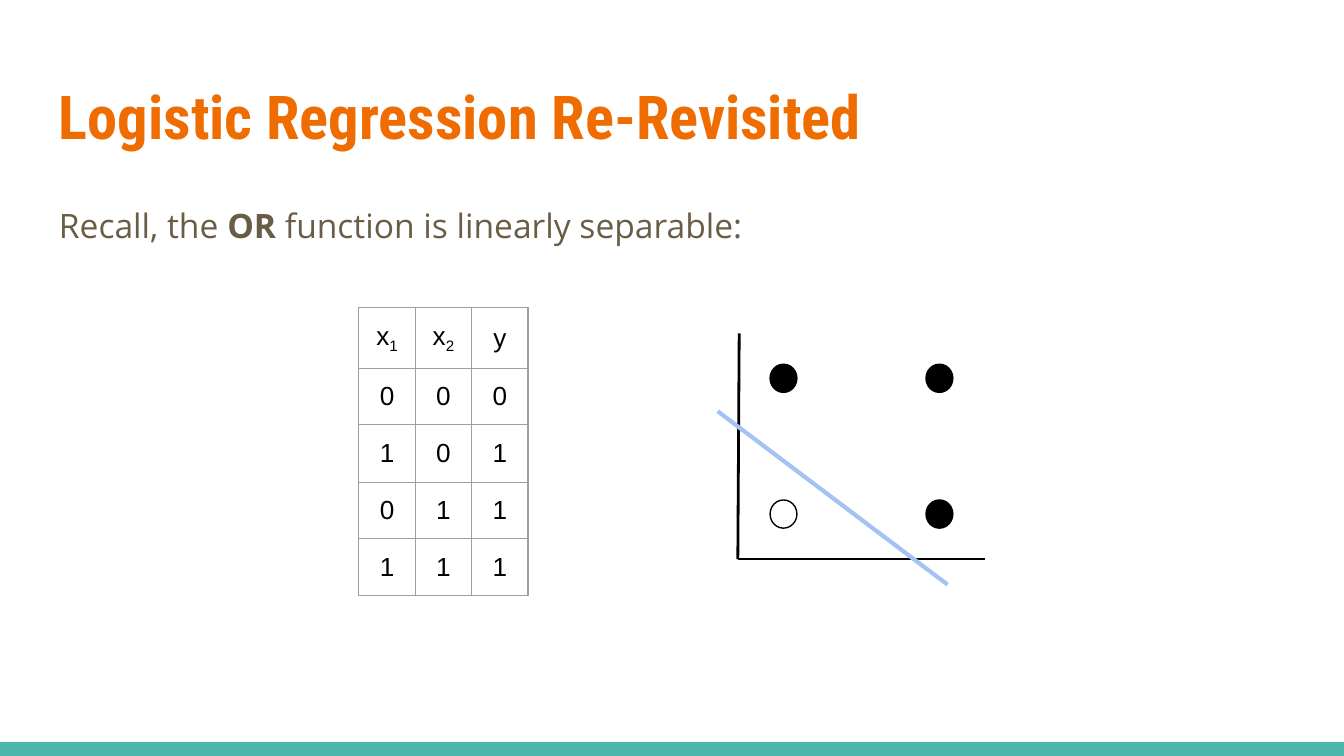
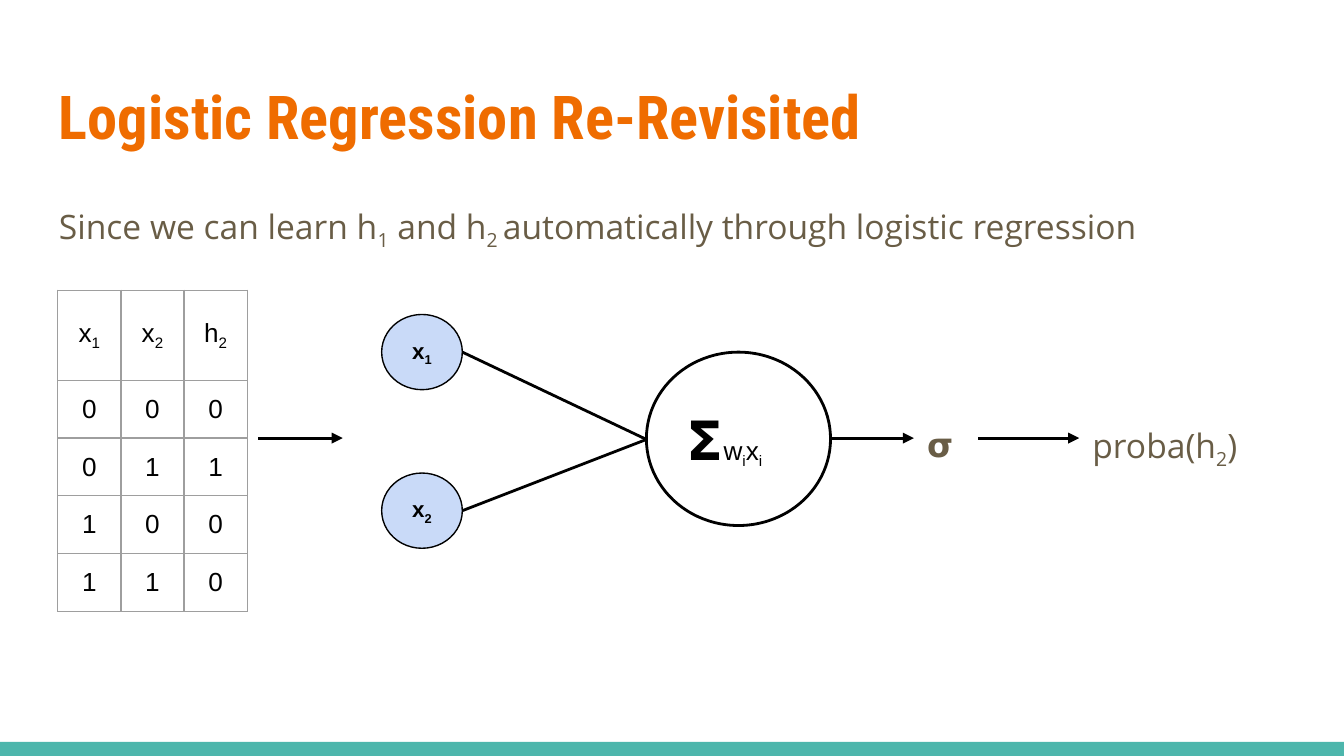
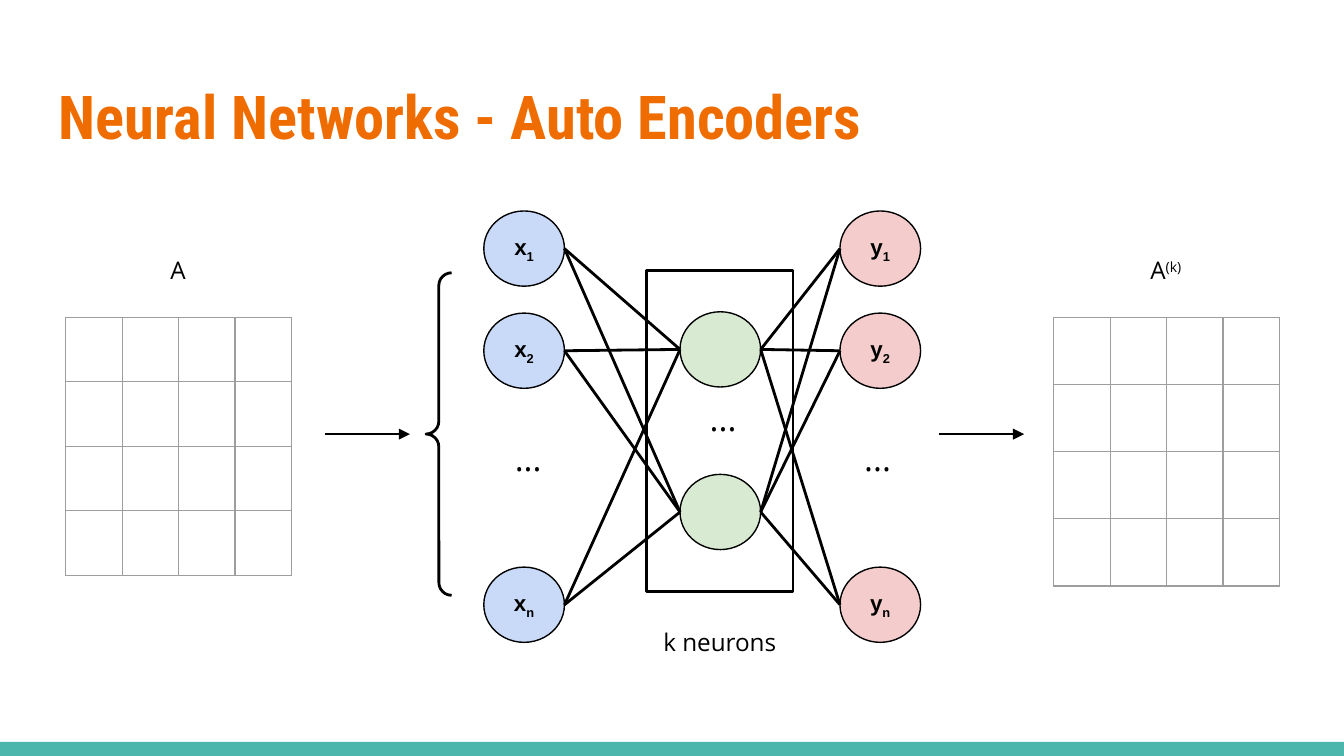
import pptx
import pptx.dml.color
import pptx.enum.shapes
import pptx.enum.text
import pptx.oxml
import pptx.oxml.ns
import pptx.util
from lxml import etree

Inches = pptx.util.Inches
Pt = pptx.util.Pt
SHAPES = pptx.enum.shapes.MSO_SHAPE
ALIGN = pptx.enum.text.PP_ALIGN
ANCHOR = pptx.enum.text.MSO_ANCHOR

WHITE, BLACK = "FFFFFF", "000000"
TEAL, ORANGE, BROWN, GRAY = "4DB6AC", "EF6C00", "695D46", "9E9E9E"
LIGHT_BLUE, LIGHT_GREEN, LIGHT_RED = "C9DAF8", "D9EAD3", "F4CCCC"
SEPARATOR_BLUE = "A4C2F4"
TITLE_FONT, BODY_FONT, DIAGRAM_FONT = "Roboto Condensed", "Open Sans", "Arial"
SUBSCRIPT, SUPERSCRIPT = -25000, 30000
NEURON_WIDTH, NEURON_HEIGHT = 0.6, 0.56
ARROW_Y = 3.26


def color(value):
    return pptx.dml.color.RGBColor.from_string(value)


def box(left, top, width, height):
    return [Inches(length) for length in (left, top, width, height)]


def write(frame, text, size, font, ink=BLACK, bold=None, align=ALIGN.CENTER,
          emphasis=SUBSCRIPT, spaced=False):
    """Fill a frame; every second part of text split at "|" is emphasised."""
    paragraph = frame.paragraphs[0]
    paragraph.alignment = align
    if spaced:
        paragraph.line_spacing = 1.15
        paragraph.space_after = Pt(12)
    paragraph.font.size = Pt(size)
    paragraph.font.name = font
    paragraph.font.color.rgb = color(ink)
    paragraph.font.bold = bold
    for index, part in enumerate(text.split("|")):
        run = paragraph.add_run()
        run.text = part
        if index % 2 and emphasis == "bold":
            run.font.bold = True
        elif index % 2:
            run._r.get_or_add_rPr().set("baseline", str(emphasis))
    return paragraph


def set_frame(frame, anchor):
    frame.word_wrap = True
    frame.vertical_anchor = anchor
    frame.margin_left = frame.margin_right = Inches(0.1)
    frame.margin_top = frame.margin_bottom = Inches(0.1)


def add_text(slide, bounds, text, size, font, **style):
    frame = slide.shapes.add_textbox(*box(*bounds)).text_frame
    set_frame(frame, ANCHOR.TOP)
    write(frame, text, size, font, **style)


def add_body(slide, bounds, text, **style):
    add_text(slide, bounds, text, 18, BODY_FONT, ink=BROWN, align=ALIGN.LEFT,
             spaced=True, **style)


def add_shape(slide, kind, bounds, fill=None, line=BLACK, width=0.75):
    shape = slide.shapes.add_shape(kind, *box(*bounds))
    shape.shadow.inherit = False
    if fill:
        shape.fill.solid()
        shape.fill.fore_color.rgb = color(fill)
    else:
        shape.fill.background()
    if line:
        shape.line.color.rgb = color(line)
        shape.line.width = Pt(width)
    else:
        shape.line.fill.background()
    set_frame(shape.text_frame, ANCHOR.MIDDLE)
    return shape


def add_line(slide, start, end, ink=BLACK, width=1.5, arrow=False):
    line = slide.shapes.add_connector(
        pptx.enum.shapes.MSO_CONNECTOR.STRAIGHT,
        *[Inches(length) for length in (*start, *end)])
    line.line.color.rgb = color(ink)
    line.line.width = Pt(width)
    if arrow:
        etree.SubElement(line.line._get_or_add_ln(),
                         pptx.oxml.ns.qn("a:tailEnd"), type="triangle")
    etree.SubElement(line._element.spPr, pptx.oxml.ns.qn("a:effectLst"))


def add_arrow(slide, left, y, length=0.63):
    add_line(slide, (left, y), (left + length, y), arrow=True)


def add_neuron(slide, left, top, fill, label=""):
    neuron = add_shape(slide, SHAPES.OVAL,
                       (left, top, NEURON_WIDTH, NEURON_HEIGHT), fill)
    if label:
        write(neuron.text_frame, label, 12, DIAGRAM_FONT, bold=True)


def connect_layers(slide, left, left_tops, right, right_tops):
    """Join every neuron of the left column to every one of the right."""
    for left_top in left_tops:
        for right_top in right_tops:
            add_line(slide,
                     (left + NEURON_WIDTH, left_top + NEURON_HEIGHT / 2),
                     (right, right_top + NEURON_HEIGHT / 2))


def set_borders(cell):
    properties = cell._tc.get_or_add_tcPr()
    for index, side in enumerate(("lnL", "lnR", "lnT", "lnB")):
        properties.insert(index, pptx.oxml.parse_xml(
            f'<a:{side} {pptx.oxml.ns.nsdecls("a")} w="{Pt(0.75)}">'
            f'<a:solidFill><a:srgbClr val="{GRAY}"/></a:solidFill></a:{side}>'))


def add_grid(slide, left, top, column_width, row_heights, rows, fill=None):
    columns = len(rows[0])
    table = slide.shapes.add_table(
        len(rows), columns,
        *box(left, top, column_width * columns, sum(row_heights))).table
    table.first_row = table.horz_banding = False
    for column in table.columns:
        column.width = Inches(column_width)
    for row, height, texts in zip(table.rows, row_heights, rows):
        row.height = Inches(height)
        for cell, text in zip(row.cells, texts):
            cell.margin_left = cell.margin_right = Inches(0.1)
            cell.margin_top = cell.margin_bottom = Inches(0.09 if text else 0.05)
            cell.vertical_anchor = ANCHOR.MIDDLE
            if fill:
                cell.fill.solid()
                cell.fill.fore_color.rgb = color(fill)
            else:
                cell.fill.background()
            set_borders(cell)
            if text:
                write(cell.text_frame, text, 14, DIAGRAM_FONT)


def add_base_slide(presentation, title):
    slide = presentation.slides.add_slide(presentation.slide_layouts[6])
    slide.background.fill.solid()
    slide.background.fill.fore_color.rgb = color(WHITE)
    add_shape(slide, SHAPES.RECTANGLE, (0, 5.52, 10, 0.11), TEAL, line=None)
    add_text(slide, (0.34, 0.49, 9.32, 0.77), title, 32.4, TITLE_FONT,
             ink=ORANGE, bold=True, align=ALIGN.LEFT)
    return slide


def add_or_plot(slide, left, top):
    """Draw the four OR inputs on axes, with the line that separates them."""
    origin = (left, top + 1.68)
    add_line(slide, (left + 0.01, top), origin)
    add_line(slide, (left + 1.84, top + 1.68), origin)
    for x in (0, 1):
        for y in (0, 1):
            point = (left + 0.24 + 1.16 * x, top + 1.24 - 1.01 * y, 0.2, 0.21)
            add_shape(slide, SHAPES.OVAL, point, BLACK if x or y else WHITE)
    add_line(slide, (left - 0.15, top + 0.58), (left + 1.56, top + 1.87),
             SEPARATOR_BLUE, 2.25)


def add_perceptron(slide, left, top):
    input_tops = (top, top + 1.18)
    for number, input_top in enumerate(input_tops, 1):
        add_neuron(slide, left, input_top, LIGHT_BLUE, f"x|{number}")
    total = add_shape(slide, SHAPES.OVAL, (left + 1.97, top + 0.28, 1.37, 1.29),
                      width=1.5)
    paragraph = write(total.text_frame, "w|i|x|i", 14, DIAGRAM_FONT,
                      align=ALIGN.LEFT)
    sigma = paragraph.add_run()
    sigma.text = "𝝨"
    sigma.font.size = Pt(29)
    paragraph.runs[0]._r.addprevious(sigma._r)
    for input_top in input_tops:
        add_line(slide, (left + NEURON_WIDTH, input_top + NEURON_HEIGHT / 2),
                 (left + 1.97, top + 0.93))


def add_matrix(slide, left, label, label_left, row_height):
    add_text(slide, (label_left, 1.8, 1.09, 0.42), label, 13, BODY_FONT,
             emphasis=SUPERSCRIPT)
    add_grid(slide, left, 2.36, 0.42, [row_height] * 4, [[""] * 4] * 4, WHITE)


def add_autoencoder(slide, left, top):
    outer_tops = [top + offset for offset in (0, 0.76, 2.65)]
    hidden_tops = [top + offset for offset in (0.75, 1.96)]
    hidden, output = left + 1.46, left + 2.65
    add_shape(slide, SHAPES.LEFT_BRACE, (left - 0.43, top + 0.46, 0.19, 2.4),
              width=1.5).adjustments[0] = 0.5
    for column, letter, fill in ((left, "x", LIGHT_BLUE),
                                 (output, "y", LIGHT_RED)):
        for neuron_top, index in zip(outer_tops, "12n"):
            add_neuron(slide, column, neuron_top, fill, f"{letter}|{index}")
    for neuron_top in hidden_tops:
        add_neuron(slide, hidden, neuron_top, LIGHT_GREEN)
    connect_layers(slide, left, outer_tops, hidden, hidden_tops)
    connect_layers(slide, hidden, hidden_tops, output, outer_tops)
    for dots_left, dots_top in ((0.09, 1.59), (1.54, 1.29), (2.69, 1.59)):
        add_text(slide, (left + dots_left, top + dots_top, 0.48, 0.5), "...",
                 18, BODY_FONT)
    add_shape(slide, SHAPES.RECTANGLE, (left + 1.21, top + 0.44, 1.09, 2.39),
              width=1.5)
    add_text(slide, (left + 1.21, top + 3, 1.09, 0.42), "k neurons", 13,
             BODY_FONT)


def build_or_slide(presentation):
    slide = add_base_slide(presentation, "Logistic Regression Re-Revisited")
    add_body(slide, (0.34, 1.38, 9.32, 0.68),
             "Recall, the |OR| function is linearly separable:",
             emphasis="bold")
    add_grid(slide, 2.67, 2.29, 0.42, [0.45, 0.42, 0.43, 0.42, 0.42],
             [["x|1", "x|2", "y"], "000", "101", "011", "111"])
    add_or_plot(slide, 5.49, 2.48)


def build_perceptron_slide(presentation):
    slide = add_base_slide(presentation, "Logistic Regression Re-Revisited")
    add_body(slide, (0.34, 1.38, 9.32, 0.65),
             "Since we can learn h|1| and h|2 |automatically through "
             "logistic regression")
    add_perceptron(slide, 2.84, 2.34)
    add_body(slide, (6.8, 3.01, 0.48, 0.5), "𝞂")
    add_body(slide, (8.03, 3.01, 1.4, 0.5), "proba(h|2|)")
    add_arrow(slide, 1.92, ARROW_Y)
    add_arrow(slide, 6.17, ARROW_Y)
    add_arrow(slide, 7.28, ARROW_Y, 0.75)
    add_grid(slide, 0.43, 2.16, 0.47, [0.67] + [0.43] * 4,
             [["x|1", "x|2", "h|2"], "000", "011", "100", "110"])


def build_autoencoder_slide(presentation):
    slide = add_base_slide(presentation, "Neural Networks - Auto Encoders")
    add_matrix(slide, 0.49, "A", 0.78, 0.48)
    add_arrow(slide, 2.42, 3.23)
    add_autoencoder(slide, 3.6, 1.57)
    add_arrow(slide, 6.99, 3.23)
    add_matrix(slide, 7.84, "A|(k)", 8.13, 0.5)


def main():
    presentation = pptx.Presentation()
    presentation.slide_width = Inches(10)
    presentation.slide_height = presentation.slide_width * 9 // 16
    build_or_slide(presentation)
    build_perceptron_slide(presentation)
    build_autoencoder_slide(presentation)
    presentation.save("out.pptx")


if __name__ == "__main__":
    main()
